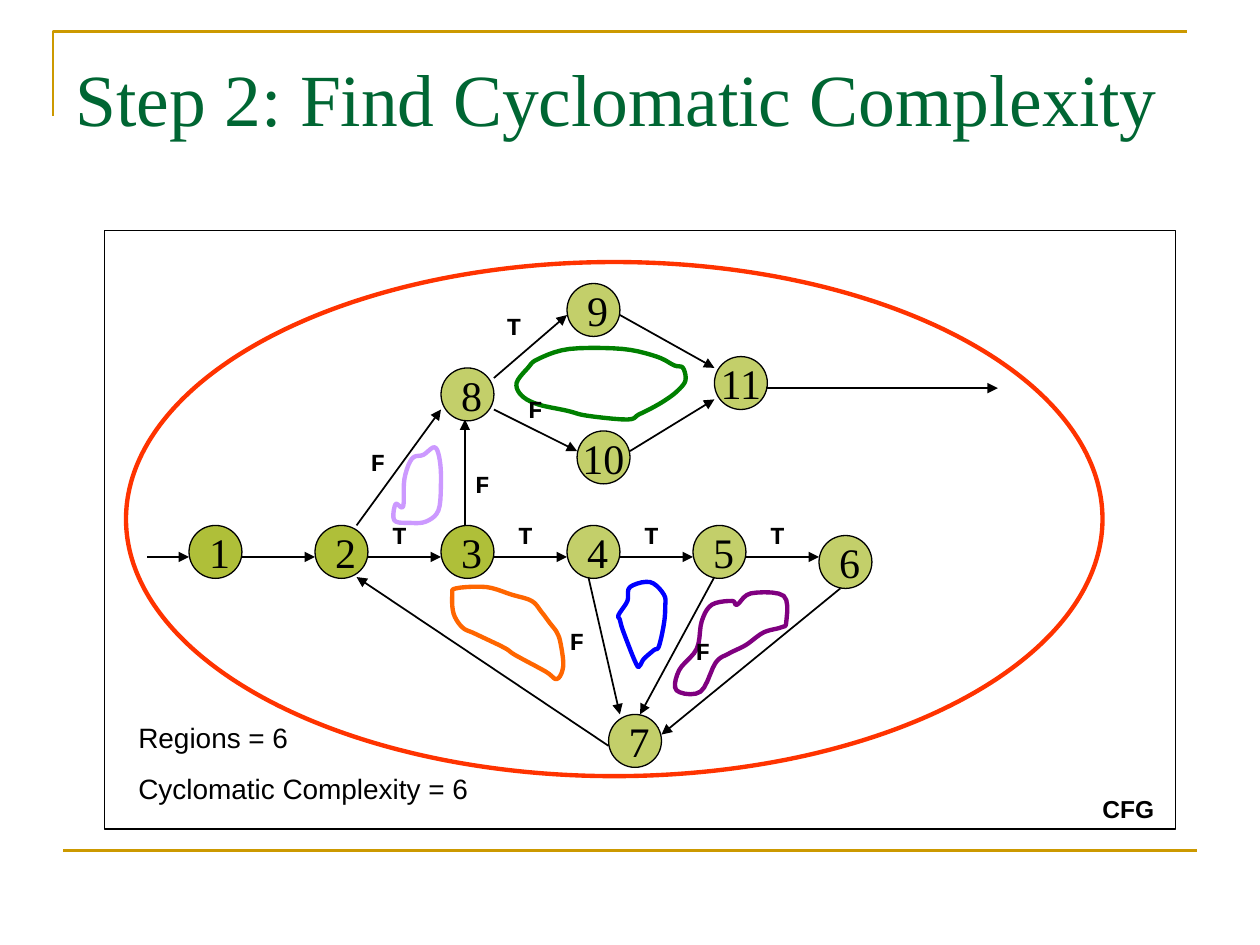
from lxml import etree
from pptx import Presentation
from pptx.dml.color import RGBColor
from pptx.enum.shapes import MSO_CONNECTOR, MSO_SHAPE
from pptx.enum.text import MSO_ANCHOR, PP_ALIGN
from pptx.oxml.ns import qn
from pptx.util import Inches, Pt

STRAIGHT = MSO_CONNECTOR.STRAIGHT
OVAL, RECTANGLE = MSO_SHAPE.OVAL, MSO_SHAPE.RECTANGLE
LEFT, CENTER = PP_ALIGN.LEFT, PP_ALIGN.CENTER
TOP, MIDDLE = MSO_ANCHOR.TOP, MSO_ANCHOR.MIDDLE

THEME = {
    "gold": "CC9900", "title": "006633", "ink": "000000", "node": "AFBF39", "outer": "FF3300",
    "serif": "Times New Roman", "sans": "Arial", "mono": "Courier New",
    "title_size": 42, "node_size": 24, "label_size": 14, "result_size": 16,
    "rule_width": 1.5, "node_width": 0.75, "edge_width": 1, "region_width": 2.5,
}

# Content
TITLE = "Step 2: Find Cyclomatic Complexity"
RESULTS = ["Regions = 6", "Cyclomatic Complexity = 6"]
NODE_SIZE = 0.42
ROW_TOP = 4.17
NODES = {str(n): (n + 0.5, ROW_TOP) for n in range(1, 6)}
NODES |= {
    "6": (6.5, 4.25), "7": (4.83, 5.67), "9": (4.5, 2.25),
    "8": (3.5, 2.92), "10": (4.58, 3.42), "11": (5.67, 2.83),
}
SOLID_NODES = {"1", "2", "3"}

ROW_Y = 4.42
EDGES = [((n + 0.92, ROW_Y), (n + 1.5, ROW_Y)) for n in range(1, 6)]
EDGES += [
    ((1.17, ROW_Y), (1.5, ROW_Y)),    # entry
    ((6.67, 4.67), (5.25, 5.83)),     # 6 to 7
    ((5.67, 4.58), (5.08, 5.67)),     # 5 to 7
    ((4.67, 4.58), (4.92, 5.67)),     # 4 to 7
    ((4.83, 5.92), (2.83, 4.58)),     # 7 to 2
    ((2.83, 4.17), (3.5, 3.25)),      # 2 to 8
    ((3.69, 4.17), (3.69, 3.33)),     # 3 to 8
    ((3.92, 3), (4.5, 2.5)),          # 8 to 9
    ((3.92, 3.25), (4.58, 3.58)),     # 8 to 10
    ((4.92, 2.5), (5.67, 2.92)),      # 9 to 11
    ((5, 3.58), (5.67, 3.17)),        # 10 to 11
    ((6.08, 3.08), (7.92, 3.08)),     # exit
]
BRANCHES = {
    "T": [(n + 0.92, 4.08) for n in range(2, 6)] + [(3.83, 2.42)],
    "F": [(4, 3.08), (2.75, 3.5), (4.33, 4.92), (5.33, 5), (3.58, 3.67)],
}

# Hand-drawn regions: colour and the points each loop passes through
REGIONS = [
    ("008000", [(5.35, 2.9), (5.21, 2.83), (4.94, 2.77), (4.52, 2.77), (4.27, 2.85), (4.19, 2.92),
                (4.1, 3.04), (4.14, 3.14), (4.27, 3.21), (4.5, 3.26), (4.66, 3.3), (4.98, 3.33),
                (5.07, 3.29), (5.19, 3.23), (5.29, 3.17), (5.38, 3.1), (5.44, 3.02), (5.42, 2.92)]),
    ("FF6600", [(4.36, 4.94), (4.3, 4.86), (4.22, 4.77), (4.06, 4.72), (3.86, 4.66), (3.62, 4.67),
                (3.59, 4.72), (3.6, 4.87), (3.67, 4.98), (3.77, 5.03), (4, 5.14), (4.09, 5.2),
                (4.33, 5.33), (4.42, 5.39), (4.47, 5.29), (4.45, 5.11), (4.42, 5.02)]),
    ("0000FF", [(5.05, 5.27), (4.95, 5.02), (4.92, 4.92), (4.91, 4.88), (4.98, 4.77), (5, 4.66),
                (5.16, 4.62), (5.27, 4.72), (5.28, 4.82), (5.27, 4.95), (5.23, 5.13),
                (5.19, 5.16), (5.11, 5.23), (5.08, 5.28)]),
    ("800080", [(5.85, 4.8), (5.96, 4.71), (6.22, 4.73), (6.24, 4.94), (6.2, 4.98), (6.06, 5.02),
                (5.92, 5.12), (5.78, 5.19), (5.68, 5.26), (5.56, 5.49), (5.37, 5.48),
                (5.39, 5.32), (5.53, 5.15), (5.57, 4.93), (5.65, 4.8), (5.81, 4.77)]),
    ("CC99FF", [(3.2, 4.02), (3.21, 3.8), (3.27, 3.64), (3.36, 3.61), (3.45, 3.55), (3.49, 3.65),
                (3.5, 3.83), (3.48, 4.05), (3.38, 4.14), (3.25, 4.15), (3.13, 4.13), (3.14, 4)]),
]


def box(*lengths):
    return [Inches(length) for length in lengths]


def set_line(shape, color, width):
    shape.line.color.rgb = RGBColor.from_string(color)
    shape.line.width = Pt(width)


def write(shape, lines, font, size, color=THEME["ink"], align=LEFT, bold=False,
          anchor=TOP, wrap=True, gap=0):
    frame = shape.text_frame
    frame.text = "\n".join(lines)
    frame.word_wrap = wrap
    frame.vertical_anchor = anchor
    for index, paragraph in enumerate(frame.paragraphs):
        paragraph.alignment = align
        paragraph.space_before = Pt(gap if index else 0)
        for run in paragraph.runs:
            run.font.name, run.font.size, run.font.bold = font, Pt(size), bold
            run.font.color.rgb = RGBColor.from_string(color)


def add_line(shapes, start, end, color, width, arrow=False):
    line = shapes.add_connector(STRAIGHT, *box(*start, *end))
    set_line(line, color, width)
    properties = line._element.spPr
    if arrow:
        etree.SubElement(properties.find(qn("a:ln")), qn("a:tailEnd"), type="triangle")
    etree.SubElement(properties, qn("a:effectLst"))


def add_outline(shapes, points, color, width, close):
    builder = shapes.build_freeform(*box(*points[0]), scale=1.0)
    builder.add_line_segments([box(*point) for point in points[1:]], close=close)
    outline = builder.convert_to_shape()
    outline.shadow.inherit = False
    outline.fill.background()
    set_line(outline, color, width)


def add_plain(shapes, kind, place, color, width):
    shape = shapes.add_shape(kind, *box(*place))
    shape.shadow.inherit = False
    shape.fill.background()
    set_line(shape, color, width)
    return shape


def smooth_loop(points, steps=5):
    """Closed Catmull-Rom curve through the points."""
    curve = []
    for i in range(len(points)):
        corners = [points[(i + k) % len(points)] for k in (-1, 0, 1, 2)]
        for t in (step / steps for step in range(steps)):
            curve.append(tuple(
                0.5 * (2 * b + (c - a) * t + (2 * a - 5 * b + 4 * c - d) * t ** 2
                       + (3 * b - a - 3 * c + d) * t ** 3)
                for a, b, c, d in zip(*corners)))
    return curve


def main():
    prs = Presentation()
    prs.slide_width, prs.slide_height = box(10, 7.5)
    slide = prs.slides.add_slide(prs.slide_layouts[5])
    shapes = slide.shapes

    # Title and gold rules
    title = shapes.title
    title.left, title.top, title.width, title.height = box(0.5, 0.3, 9, 1.25)
    title.text_frame.margin_top = Inches(0.12)
    write(title, [TITLE], THEME["serif"], THEME["title_size"], THEME["title"])
    add_outline(shapes, [(0.42, 0.92), (0.42, 0.25), (9.42, 0.25)],
                THEME["gold"], THEME["rule_width"], close=False)
    add_line(shapes, (0.5, 6.75), (9.5, 6.75), THEME["gold"], THEME["rule_width"])

    # Regions
    for color, points in REGIONS:
        add_outline(shapes, smooth_loop(points), color, THEME["region_width"], close=True)

    # Graph nodes
    for name, corner in NODES.items():
        node = add_plain(shapes, OVAL, (*corner, NODE_SIZE, NODE_SIZE),
                         THEME["ink"], THEME["node_width"])
        node.fill.solid()
        node.fill.fore_color.rgb = RGBColor.from_string(THEME["node"])
        if name not in SOLID_NODES:
            tint = node._element.spPr.find(qn("a:solidFill"))[0]
            etree.SubElement(tint, qn("a:alpha"), val="75000")
        write(node, [name], THEME["serif"], THEME["node_size"], anchor=MIDDLE, wrap=False,
              align=CENTER if len(name) > 1 else LEFT)

    # Edges and frame
    for start, end in EDGES:
        add_line(shapes, start, end, THEME["ink"], THEME["edge_width"], arrow=True)
    add_plain(shapes, RECTANGLE, (0.83, 1.83, 8.5, 4.75), THEME["ink"], THEME["edge_width"])

    # Labels
    for branch, corners in BRANCHES.items():
        for corner in corners:
            label = shapes.add_textbox(*box(*corner, 0.5, 0.34))
            write(label, [branch], THEME["mono"], THEME["label_size"], align=CENTER, bold=True)
    caption = shapes.add_textbox(*box(8.58, 6.25, 0.75, 0.34))
    write(caption, ["CFG"], THEME["sans"], THEME["label_size"], align=CENTER, bold=True)
    results = shapes.add_textbox(*box(1, 5.67, 3.17, 0.77))
    write(results, RESULTS, THEME["sans"], THEME["result_size"], gap=10)

    # Outer region
    add_plain(shapes, OVAL, (1, 2.08, 7.75, 4.08), THEME["outer"], THEME["region_width"])

    prs.save("out.pptx")


if __name__ == "__main__":
    main()
